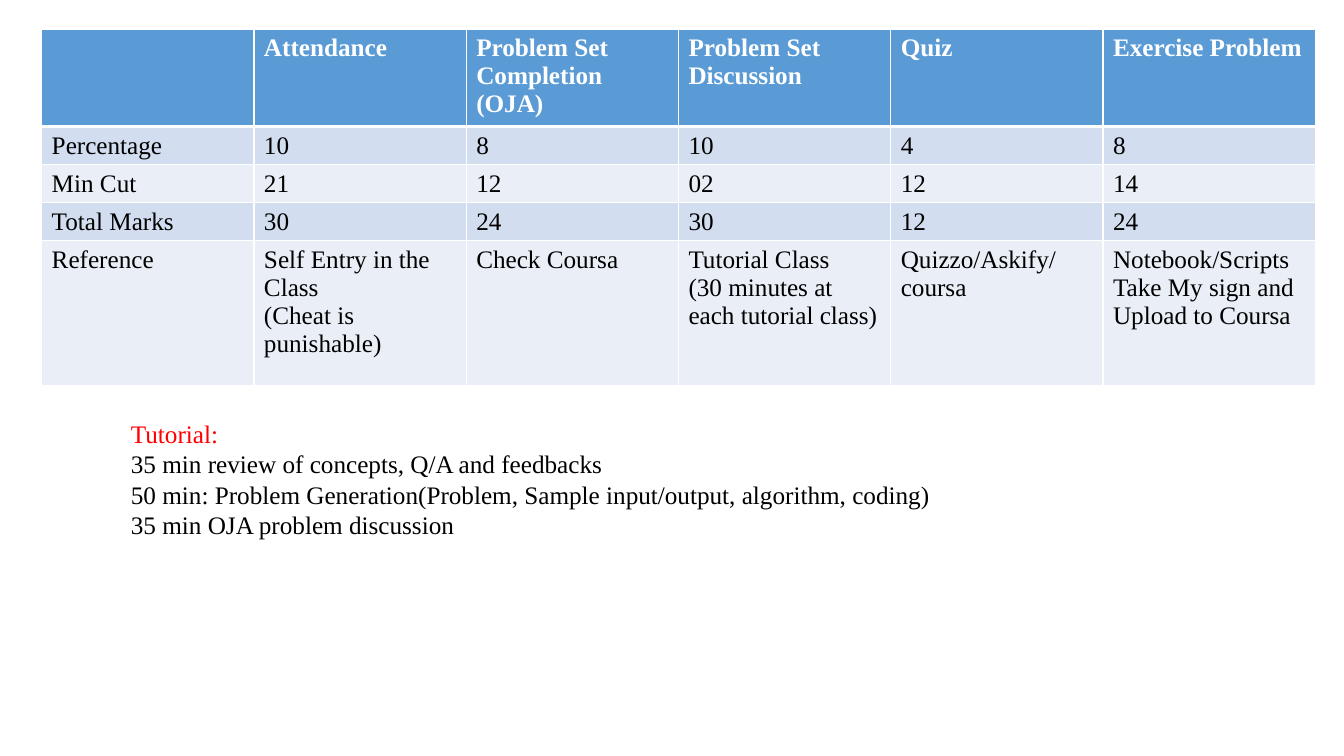
import pptx
import pptx.dml.color
import pptx.enum.text
import pptx.oxml
import pptx.oxml.ns
import pptx.util
from dataclasses import dataclass

Cm = pptx.util.Cm
Pt = pptx.util.Pt


@dataclass(frozen=True)
class Theme:
    font: str = "Times New Roman"
    size: int = 18
    text: str = "000000"
    inverse: str = "FFFFFF"
    accent: str = "FF0000"
    header: str = "5B9BD5"
    bands: tuple = ("D2DEEF", "EAEFF7")
    rule: float = 1
    header_rule: float = 3


def rgb(value):
    return pptx.dml.color.RGBColor.from_string(value)


class SlideBuilder:
    def __init__(self, s, theme):
        self.s = s
        self.theme = theme

    def add_lines(self, tf, lines, color, bold=False):
        """Fill a text frame with one paragraph per line."""
        fmt = {"name": self.theme.font, "size": Pt(self.theme.size), "bold": bold}
        for i, line in enumerate(lines):
            p = tf.add_paragraph() if i else tf.paragraphs[0]
            r = p.add_run()
            r.text = line
            for key, value in fmt.items():
                setattr(r.font, key, value)
            r.font.color.rgb = rgb(color)

    def borders(self, cell, bottom):
        widths = {"L": self.theme.rule, "R": self.theme.rule,
                  "T": self.theme.rule, "B": bottom}
        tcPr = cell._tc.get_or_add_tcPr()
        for i, (side, width) in enumerate(widths.items()):
            tcPr.insert(i, pptx.oxml.parse_xml(
                f'<a:ln{side} {pptx.oxml.ns.nsdecls("a")} w="{Pt(width)}">'
                f'<a:solidFill><a:srgbClr val="{self.theme.inverse}"/></a:solidFill>'
                f'</a:ln{side}>'))

    def table(self, rows, left, top, col_width, heights):
        n_cols = len(rows[0])
        table = self.s.shapes.add_table(
            len(rows), n_cols, Cm(left), Cm(top),
            Cm(col_width * n_cols), Cm(sum(heights))).table
        for col in table.columns:
            col.width = Cm(col_width)
        for i, (row, height) in enumerate(zip(rows, heights)):
            table.rows[i].height = Cm(height)
            head = i == 0
            fill = self.theme.header if head else self.theme.bands[(i - 1) % 2]
            color = self.theme.inverse if head else self.theme.text
            for j, text in enumerate(row):
                cell = table.cell(i, j)
                cell.fill.solid()
                cell.fill.fore_color.rgb = rgb(fill)
                self.borders(cell, self.theme.header_rule if head else self.theme.rule)
                if text:
                    self.add_lines(cell.text_frame, text.split("\n"), color, head)

    def note(self, heading, lines, left, top, width, height):
        """Add a text box with a coloured heading line above plain lines."""
        tf = self.s.shapes.add_textbox(Cm(left), Cm(top), Cm(width), Cm(height)).text_frame
        tf.word_wrap = False
        tf.auto_size = pptx.enum.text.MSO_AUTO_SIZE.SHAPE_TO_FIT_TEXT
        self.add_lines(tf, [heading, *lines], self.theme.text)
        tf.paragraphs[0].runs[0].font.color.rgb = rgb(self.theme.accent)


MARKING = [
    ["", "Attendance", "Problem Set Completion\n(OJA)", "Problem Set Discussion",
     "Quiz", "Exercise Problem"],
    ["Percentage", "10", "8", "10", "4", "8"],
    ["Min Cut", "21", "12", "02", "12", "14"],
    ["Total Marks", "30", "24", "30", "12", "24"],
    ["Reference", "Self Entry in the Class\n(Cheat is punishable)", "Check Coursa",
     "Tutorial Class\n(30 minutes at each tutorial class)", "Quizzo/Askify/coursa",
     "Notebook/Scripts\nTake My sign and Upload to Coursa"],
]
TUTORIAL = [
    "35 min review of concepts, Q/A and feedbacks",
    "50 min: Problem Generation(Problem, Sample input/output, algorithm, coding)",
    "35 min OJA problem discussion",
]


def main():
    prs = pptx.Presentation()
    prs.slide_width, prs.slide_height = Cm(33.87), Cm(19.05)
    blank = prs.slide_layouts[6]
    builder = SlideBuilder(prs.slides.add_slide(blank), Theme())
    builder.table(MARKING, left=1.05, top=0.74, col_width=5.35,
                  heights=[2.45, 0.96, 0.96, 0.96, 3.64])
    builder.note("Tutorial:", TUTORIAL, left=3.05, top=10.42, width=21.4, height=3.33)
    prs.save("out.pptx")


if __name__ == "__main__":
    main()
